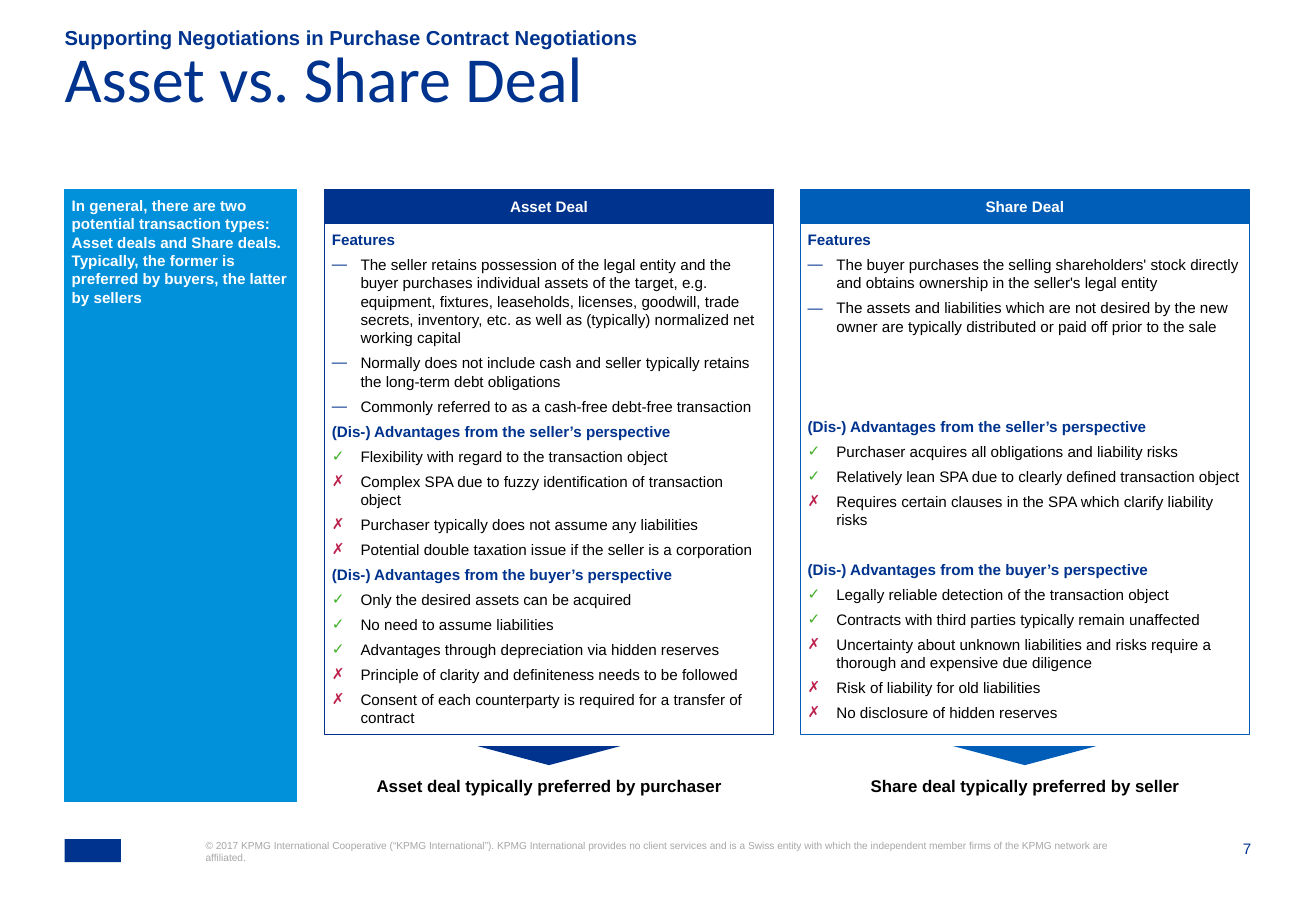
"""Build the slide that compares asset deals with share deals."""
from dataclasses import dataclass

from lxml.etree import SubElement
from pptx import Presentation
from pptx.dml.color import RGBColor as RGB
from pptx.enum.shapes import MSO_SHAPE as SHAPE
from pptx.enum.text import MSO_ANCHOR as ANCHOR, MSO_AUTO_SIZE as AUTO, PP_ALIGN as ALIGN
from pptx.oxml.ns import qn
from pptx.util import Cm, Pt


@dataclass(frozen=True)
class Theme:
    """Colours, fonts and type sizes of the slide."""
    navy: str = "00338D"
    blue: str = "005EB8"
    sky: str = "0091DA"
    green: str = "43B02A"
    red: str = "BC204B"
    grey: str = "A6A6A6"
    white: str = "FFFFFF"
    black: str = "000000"
    font: str = "Arial"
    title_font: str = "Calibri"
    title: int = 38
    subtitle: int = 12
    verdict: int = 10
    body: int = 9
    legal: int = 6


T = Theme()
MARKS = {"—": T.navy, "✓": T.green, "✗": T.red}
LEFT, PADDING, INDENT = 1.35, 0.15, 0.6
PANEL_LEFT, PANEL_STEP, PANEL_WIDTH = 6.79, 9.95, 9.38
PANEL_TOP, HEADER_HEIGHT, PANEL_HEIGHT = 3.97, 0.7, 10.69
ARROW_WIDTH = 3

SELLER = "(Dis-) Advantages from the seller’s perspective"
BUYER = "(Dis-) Advantages from the buyer’s perspective"

DEALS = [
    ("Asset Deal", T.navy, "Asset deal typically preferred by purchaser", [
        ("Features", 0, [
            ("—", "The seller retains possession of the legal entity and the buyer purchases "
                  "individual assets of the target, e.g. equipment, fixtures, leaseholds, "
                  "licenses, goodwill, trade secrets, inventory, etc. as well as (typically) "
                  "normalized net working capital"),
            ("—", "Normally does not include cash and seller typically retains the long-term "
                  "debt obligations"),
            ("—", "Commonly referred to as a cash-free debt-free transaction")]),
        (SELLER, 0, [
            ("✓", "Flexibility with regard to the transaction object"),
            ("✗", "Complex SPA due to fuzzy identification of transaction object"),
            ("✗", "Purchaser typically does not assume any liabilities"),
            ("✗", "Potential double taxation issue if the seller is a corporation")]),
        (BUYER, 0, [
            ("✓", "Only the desired assets can be acquired"),
            ("✓", "No need to assume liabilities"),
            ("✓", "Advantages through depreciation via hidden reserves"),
            ("✗", "Principle of clarity and definiteness needs to be followed"),
            ("✗", "Consent of each counterparty is required for a transfer of contract")])]),
    ("Share Deal", T.blue, "Share deal typically preferred by seller", [
        ("Features", 0, [
            ("—", "The buyer purchases the selling shareholders' stock directly and obtains "
                  "ownership in the seller's legal entity"),
            ("—", "The assets and liabilities which are not desired by the new owner are "
                  "typically distributed or paid off prior to the sale")]),
        (SELLER, 44.4, [
            ("✓", "Purchaser acquires all obligations and liability risks"),
            ("✓", "Relatively lean SPA due to clearly defined transaction object"),
            ("✗", "Requires certain clauses in the SPA which clarify liability risks")]),
        (BUYER, 14.8, [
            ("✓", "Legally reliable detection of the transaction object"),
            ("✓", "Contracts with third parties typically remain unaffected"),
            ("✗", "Uncertainty about unknown liabilities and risks require a thorough and "
                  "expensive due diligence"),
            ("✗", "Risk of liability for old liabilities"),
            ("✗", "No disclosure of hidden reserves")])]),
]


def add_run(p, text, size, color, bold=False, font=T.font):
    """Add one formatted run to a paragraph."""
    r = p.add_run()
    r.text = text
    r.font.name, r.font.size, r.font.bold = font, Pt(size), bold
    r.font.color.rgb = RGB.from_string(color)


def set_frame(sp, anchor=ANCHOR.TOP, padding=0.0):
    """Set wrapping, anchor and insets, and return the text frame."""
    tf = sp.text_frame
    tf.word_wrap, tf.auto_size, tf.vertical_anchor = True, AUTO.NONE, anchor
    tf.margin_left = tf.margin_top = tf.margin_right = tf.margin_bottom = Cm(padding)
    return tf


def add_text(s, box, text, size, color, bold=False, align=ALIGN.LEFT, anchor=ANCHOR.TOP):
    """Add a text box with one paragraph."""
    tf = set_frame(s.shapes.add_textbox(*map(Cm, box)), anchor)
    p = tf.paragraphs[0]
    p.alignment = align
    add_run(p, text, size, color, bold)


def add_block(s, box, fill, line=None, width=0.5, kind=SHAPE.RECTANGLE):
    """Add a filled shape, outlined if a line colour is given."""
    sp = s.shapes.add_shape(kind, *map(Cm, box))
    sp.shadow.inherit = False
    sp.fill.solid()
    sp.fill.fore_color.rgb = RGB.from_string(fill)
    if line:
        sp.line.color.rgb = RGB.from_string(line)
        sp.line.width = Pt(width)
    else:
        sp.line.fill.background()
    return sp


def add_label(sp, text, align, anchor):
    """Write bold white text in a block."""
    p = set_frame(sp, anchor, PADDING).paragraphs[0]
    p.alignment = align
    add_run(p, text, T.body, T.white, True)


def set_bullet(p, mark):
    """Give a paragraph a coloured mark and a hanging indent."""
    pPr = p._p.get_or_add_pPr()
    pPr.set("marL", str(Cm(INDENT)))
    pPr.set("indent", str(-Cm(INDENT)))
    SubElement(SubElement(pPr, qn("a:buClr")), qn("a:srgbClr"), val=MARKS[mark])
    SubElement(pPr, qn("a:buFont"), typeface=T.font)
    SubElement(pPr, qn("a:buChar"), char=mark)


def add_sections(sp, sections):
    """Write headings with their marked points in a block."""
    tf = set_frame(sp, padding=PADDING)
    lines = [line for heading, gap, points in sections
             for line in [(None, heading, gap), *((m, t, 0) for m, t in points)]]
    for i, (mark, text, gap) in enumerate(lines):
        p = tf.add_paragraph() if i else tf.paragraphs[0]
        p.alignment, p.space_after = ALIGN.LEFT, Pt(4)
        if gap:
            p.space_before = Pt(gap)
        if mark:
            set_bullet(p, mark)
        add_run(p, text, T.body, T.black if mark else T.navy, not mark)


def add_deal(s, left, name, color, verdict, sections):
    """Add a deal panel with its header, arrow and verdict."""
    header = add_block(s, (left, PANEL_TOP, PANEL_WIDTH, HEADER_HEIGHT), color, color)
    add_label(header, name, ALIGN.CENTER, ANCHOR.MIDDLE)
    body = add_block(s, (left, PANEL_TOP + HEADER_HEIGHT, PANEL_WIDTH, PANEL_HEIGHT),
                     T.white, color)
    add_sections(body, sections)
    arrow_left = left + (PANEL_WIDTH - ARROW_WIDTH) / 2
    arrow = add_block(s, (arrow_left, 15.6, ARROW_WIDTH, 0.4), color,
                      kind=SHAPE.ISOSCELES_TRIANGLE)
    arrow.rotation = 180
    add_text(s, (left, 15.93, PANEL_WIDTH, 0.99), verdict, T.verdict, T.black, True,
             ALIGN.CENTER, ANCHOR.MIDDLE)


def set_title(s, text):
    """Place and format the title placeholder."""
    sp = s.shapes.title
    sp.left, sp.top, sp.width, sp.height = map(Cm, (LEFT, 1.25, 24.77, 2))
    p = set_frame(sp).paragraphs[0]
    p.alignment, p.line_spacing = ALIGN.LEFT, 0.7
    add_run(p, text, T.title, T.navy, font=T.title_font)


def main():
    """Build and save the slide."""
    prs = Presentation()
    prs.slide_width, prs.slide_height = Cm(27.52), Cm(19.05)
    s = prs.slides.add_slide(prs.slide_layouts[5])
    set_title(s, "Asset vs. Share Deal")
    add_text(s, (LEFT, 0.56, 23.88, 0.48),
             "Supporting Negotiations in Purchase Contract Negotiations",
             T.subtitle, T.navy, True, anchor=ANCHOR.BOTTOM)
    intro = add_block(s, (LEFT, 3.96, 4.85, 12.8), T.sky, T.sky, 0.75)
    add_label(intro, "In general, there are two potential transaction types: Asset deals and "
              "Share deals. Typically, the former is preferred by buyers, the latter by sellers",
              ALIGN.LEFT, ANCHOR.TOP)
    for i, deal in enumerate(DEALS):
        add_deal(s, PANEL_LEFT + i * PANEL_STEP, *deal)
    add_block(s, (LEFT, 17.55, 1.18, 0.48), T.navy)
    add_text(s, (4.3, 17.55, 19.02, 1.04),
             "© 2017 KPMG International Cooperative (“KPMG International”). KPMG International "
             "provides no client services and is a Swiss entity with which the independent "
             "member firms of the KPMG network are affiliated.", T.legal, T.grey)
    add_text(s, (25.07, 17.55, 1.1, 0.4), "7", T.body, T.navy, align=ALIGN.RIGHT)
    prs.save("out.pptx")


if __name__ == "__main__":
    main()
